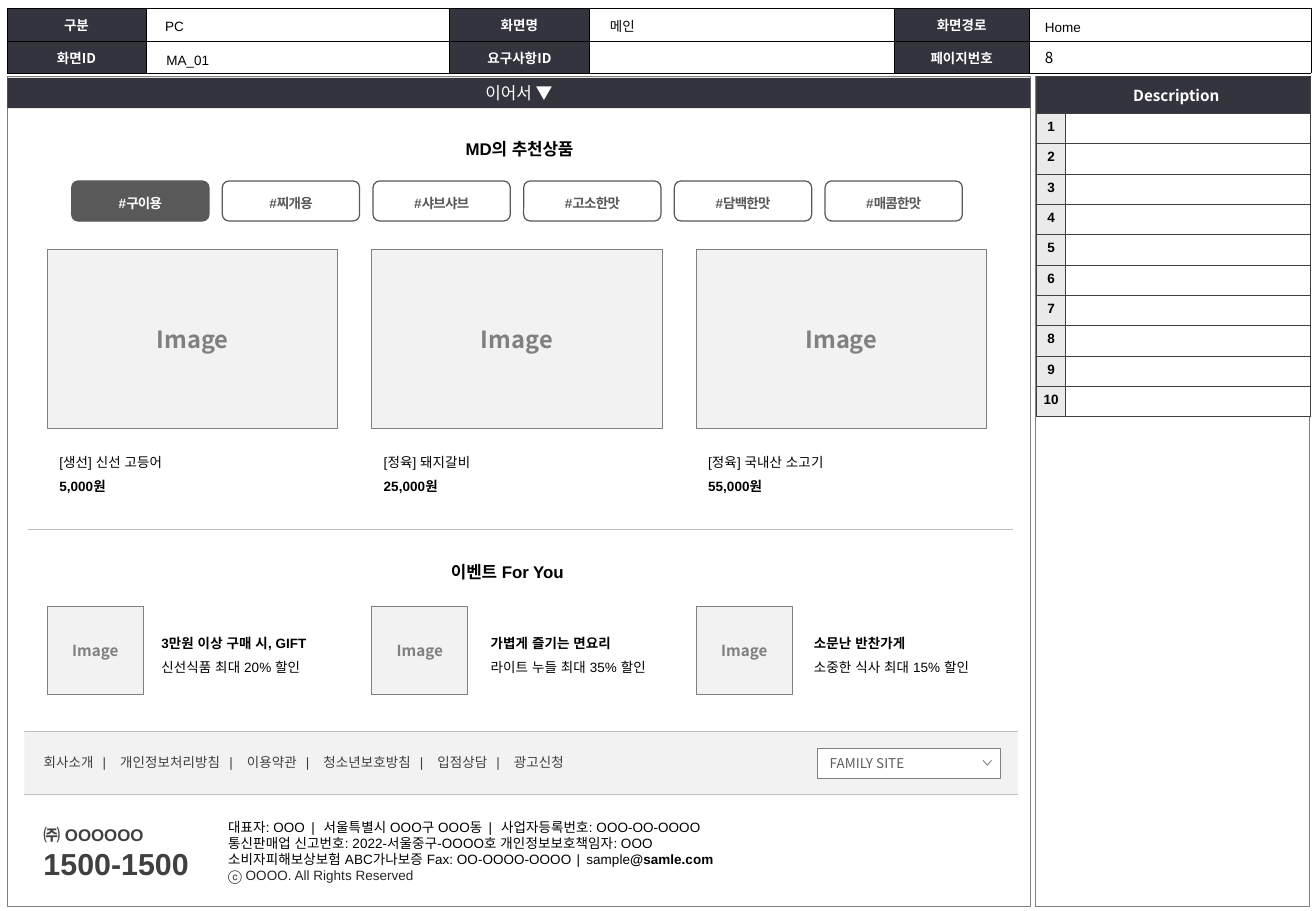
from dataclasses import dataclass

from lxml import etree
from pptx import Presentation
from pptx import util as u
from pptx.dml.color import RGBColor
from pptx.enum import shapes, text
from pptx.oxml.ns import qn

LEFT, CENTER = text.PP_ALIGN.LEFT, text.PP_ALIGN.CENTER
TOP, MIDDLE, BOTTOM = text.MSO_ANCHOR.TOP, text.MSO_ANCHOR.MIDDLE, text.MSO_ANCHOR.BOTTOM
RECT, ROUND = shapes.MSO_SHAPE.RECTANGLE, shapes.MSO_SHAPE.ROUNDED_RECTANGLE


@dataclass(frozen=True)
class Theme:
    sans: str = "Arial"
    korean: str = "Noto Sans CJK KR"
    black: str = "000000"
    white: str = "FFFFFF"
    navy: str = "33343D"
    charcoal: str = "404040"
    ink: str = "262626"
    chip: str = "595959"
    select: str = "5F5F5F"
    gray: str = "808080"
    rule: str = "BFBFBF"
    number: str = "EAEAEA"
    panel: str = "F2F2F2"
    small: float = 8
    label: float = 9
    heading: float = 10
    image: float = 14
    phone: float = 18


THEME = Theme()


def rgb(color):
    return RGBColor.from_string(color)


def write(frame, lines, align=LEFT, anchor=TOP, inset=(0.1, 0.05, 0.1, 0.05),
          leading=None, after=None, **base):
    """Fill a frame; a line is a string or a list of (text, format) spans."""
    frame.vertical_anchor = anchor
    frame.margin_left, frame.margin_top, frame.margin_right, frame.margin_bottom = map(u.Inches, inset)
    for index, line in enumerate(lines):
        para = frame.paragraphs[0] if index == 0 else frame.add_paragraph()
        para.alignment = align
        if leading:
            para.line_spacing = leading
        if after:
            para.space_after = u.Pt(after)
        for words, extra in [(line, {})] if isinstance(line, str) else line:
            style = {"size": THEME.small, "font": THEME.sans, "color": THEME.black,
                     "bold": False, "spacing": 0, **base, **extra}
            span = para.add_run()
            span.text = words
            span.font.size = u.Pt(style["size"])
            span.font.name = style["font"]
            span.font.bold = style["bold"]
            span.font.color.rgb = rgb(style["color"])
            props = span.font._element
            if style["spacing"]:
                props.set("spc", str(int(style["spacing"] * 100)))
            etree.SubElement(props, qn("a:ea"), typeface=style["font"])


class Screen:
    def __init__(self, slide, theme):
        self.page, self.theme = slide, theme

    def paint(self, shape, fill, line, width):
        shape.shadow.inherit = False
        if fill:
            shape.fill.solid()
            shape.fill.fore_color.rgb = rgb(fill)
        else:
            shape.fill.background()
        if line:
            shape.line.color.rgb = rgb(line)
            shape.line.width = u.Pt(width)
        else:
            shape.line.fill.background()

    def box(self, left, top, width, height, fill=None, line=None, weight=0.5, kind=RECT):
        box = self.page.shapes.add_shape(kind, *map(u.Inches, (left, top, width, height)))
        self.paint(box, fill, line, weight)
        return box

    def label(self, left, top, width, height, *lines, wrap=True, **style):
        box = self.page.shapes.add_textbox(*map(u.Inches, (left, top, width, height)))
        box.text_frame.word_wrap = wrap
        write(box.text_frame, lines, **style)

    def rule(self, left, right, top):
        line = self.page.shapes.add_connector(
            shapes.MSO_CONNECTOR.STRAIGHT, *map(u.Inches, (left, top, right, top)))
        line.line.color.rgb = rgb(self.theme.rule)
        line.line.width = u.Pt(0.75)
        etree.SubElement(line._element.spPr, qn("a:effectLst"))

    def chevron(self, left, top, width, height):
        points = [(left + width, top), (left + width / 2, top + height), (left, top)]
        start, *rest = [(u.Inches(x), u.Inches(y)) for x, y in points]
        builder = self.page.shapes.build_freeform(*start, scale=1.0)
        builder.add_line_segments(rest, close=False)
        self.paint(builder.convert_to_shape(), self.theme.white, self.theme.gray, 0.5)

    def placeholder(self, left, top, width, height, size, label_height):
        """Gray box that stands for an image, with its centred caption."""
        self.box(left, top, width, height, self.theme.panel, self.theme.gray)
        self.label(left + width / 2 - 0.32, top + (height - label_height) / 2, 0.64, label_height, "Image",
                   align=CENTER, anchor=MIDDLE, inset=(0, 0.04, 0, 0.04), size=size,
                   font=self.theme.korean, color=self.theme.gray, bold=True)

    def table(self, left, top, columns, rows, border):
        grid = self.page.shapes.add_table(
            len(rows), len(columns), *map(u.Inches, (left, top, sum(columns), sum(rows)))).table
        grid.first_row = grid.horz_banding = False
        for column, width in zip(grid.columns, columns):
            column.width = u.Inches(width)
        for row, height in zip(grid.rows, rows):
            row.height = u.Inches(height)
        for cell in grid.iter_cells():
            props = cell._tc.get_or_add_tcPr()
            for side in ("a:lnL", "a:lnR", "a:lnT", "a:lnB"):
                edge = etree.SubElement(props, qn(side), w=str(u.Pt(0.25)))
                etree.SubElement(etree.SubElement(edge, qn("a:solidFill")), qn("a:srgbClr"), val=border)
            self.cell(cell, self.theme.white)
        return grid

    def cell(self, cell, fill, words=None, anchor=TOP, **style):
        cell.fill.solid()
        cell.fill.fore_color.rgb = rgb(fill)
        if words:
            write(cell.text_frame, [words], align=CENTER, **style)
            # A cell takes margins and anchor from its own properties.
            cell.margin_left, cell.margin_top, cell.margin_right, cell.margin_bottom = map(
                u.Inches, style["inset"])
            cell.vertical_anchor = anchor
        else:
            end = cell.text_frame.paragraphs[0]._p.get_or_add_endParaRPr()
            end.set("sz", str(int(self.theme.small * 100)))


def draw_header(screen):
    grid = screen.table(0.06, 0.07, [1.14, 2.5, 1.15, 2.51, 1.11, 2.32], [0.27, 0.26], THEME.black)
    titles = [["구분", "화면명", "화면경로"], ["화면ID", "요구사항ID", "페이지번호"]]
    for row, names in enumerate(titles):
        for index, name in enumerate(names):
            screen.cell(grid.cell(row, index * 2), THEME.navy, name, anchor=MIDDLE, bold=True,
                        inset=(0.06, 0.05, 0.06, 0.05), font=THEME.korean, color=THEME.white)
    for left, top, value in [(1.26, 0.11, "PC"), (4.92, 0.11, "메인"),
                             (8.5, 0.12, "Home"), (1.27, 0.39, "MA_01")]:
        screen.label(left, top, 2.25, 0.17, value, wrap=False, anchor=BOTTOM, inset=(0.1, 0, 0.1, 0))
    screen.label(8.5, 0.35, 0.93, 0.25, "8", size=THEME.label, font=THEME.korean)


def draw_description(screen):
    grid = screen.table(8.53, 0.63, [0.24, 2.01], [0.3] + [0.25] * 10, THEME.charcoal)
    grid.cell(0, 0).merge(grid.cell(0, 1))
    screen.cell(grid.cell(0, 0), THEME.navy, "Description", anchor=MIDDLE, size=THEME.label, bold=True,
                inset=(0.07, 0.02, 0.02, 0.02), font=THEME.korean, color=THEME.white)
    for number in range(1, 11):
        screen.cell(grid.cell(number, 0), THEME.number, str(number), bold=True,
                    inset=(0.04, 0.05, 0.04, 0.05))


def draw_products(screen, lefts):
    heading = {"align": CENTER, "leading": 1.5, "size": THEME.heading, "bold": True}
    screen.label(2.84, 1.01, 2.87, 0.32, "MD의 추천상품", **heading)
    for index, tag in enumerate(["구이용", "찌개용", "샤브샤브", "고소한맛", "담백한맛", "매콤한맛"]):
        left, active = 0.59 + 1.24 * index, index == 0
        screen.box(left, 1.49, 1.13, 0.33, THEME.chip if active else None, THEME.chip, 0.75, ROUND)
        screen.label(left - 0.09, 1.49, 1.41, 0.3, "#" + tag, align=CENTER, inset=(0, 0.05, 0.1, 0.05),
                     leading=1.5, after=3, bold=True, spacing=-0.5,
                     color=THEME.white if active else THEME.chip)
    products = [("[생선] 신선 고등어", "5,000원"), ("[정육] 돼지갈비", "25,000원"),
                ("[정육] 국내산 소고기", "55,000원")]
    for left, (name, price) in zip(lefts, products):
        screen.placeholder(left, 2.05, 2.39, 1.48, THEME.image, 0.29)
        screen.label(left, 3.62, 2, 0.5, name, [(price, {"bold": True})], leading=1.5)
    screen.rule(0.23, 8.34, 4.36)
    screen.label(2.74, 4.49, 2.87, 0.35, "이벤트 For You", **heading)


def draw_events(screen, lefts):
    events = [(1.23, "3만원 이상 구매 시, GIFT", "신선식품 최대 20% 할인"),
              (3.94, "가볍게 즐기는 면요리", "라이트 누들 최대 35% 할인"),
              (6.6, "소문난 반찬가게", "소중한 식사 최대 15% 할인")]
    for left, (text_left, title, offer) in zip(lefts, events):
        screen.placeholder(left, 4.99, 0.79, 0.73, THEME.label, 0.23)
        screen.label(text_left, 5.11, 1.8, 0.48, [(title, {"bold": True})], offer, leading=1.5)


def draw_footer(screen):
    screen.box(0.2, 6.02, 8.18, 0.52, THEME.panel)
    for top in (6.02, 6.54):
        screen.rule(0.2, 8.38, top)
    menu = ["회사소개", "개인정보처리방침", "이용약관", "청소년보호방침", "입점상담", "광고신청"]
    links = [(menu[0], {})]
    for name in menu[1:]:
        links += [(" | ", {"spacing": 3}), (name, {})]
    screen.label(0.26, 6.16, 6.89, 0.24, links, color=THEME.charcoal)
    select = screen.box(6.73, 6.16, 1.5, 0.25, THEME.white, THEME.gray)
    write(select.text_frame, ["FAMILY SITE"], anchor=MIDDLE, inset=(0.1, 0.06, 0.28, 0.06),
          font=THEME.korean, color=THEME.select)
    screen.chevron(8.09, 6.26, 0.07, 0.04)
    screen.label(0.26, 6.74, 1.66, 0.57, "㈜ OOOOOO", [("1500-1500", {"size": THEME.phone})],
                 size=THEME.heading, color=THEME.charcoal, bold=True)
    gap = (" | ", {"spacing": 1.5})
    screen.label(
        1.78, 6.69, 6.46, 0.64,
        [("대표자: OOO", {}), gap, ("서울특별시 OOO구 OOO동", {}), gap, ("사업자등록번호: OOO-OO-OOOO", {})],
        "통신판매업 신고번호: 2022-서울중구-OOOO호 개인정보보호책임자: OOO",
        [("소비자피해보상보험 ABC가나보증 Fax: OO-OOOO-OOOO", {}), (" | ", {"spacing": 0.75}),
         ("sample", {}), ("@samle.com", {"bold": True})],
        [("ⓒ OOOO. All Rights Reserved", {"color": THEME.ink})])


def main():
    deck = Presentation()
    deck.slide_width, deck.slide_height = u.Inches(10.83), u.Inches(7.5)
    screen = Screen(deck.slides.add_slide(deck.slide_layouts[6]), THEME)
    lefts = [0.39 + 2.67 * index for index in range(3)]
    screen.box(0.06, 0.63, 8.42, 6.83, line=THEME.gray)
    screen.box(8.52, 0.63, 2.26, 6.83, THEME.white, THEME.gray)
    draw_header(screen)
    draw_description(screen)
    draw_products(screen, lefts)
    draw_events(screen, lefts)
    draw_footer(screen)
    bar = screen.box(0.06, 0.64, 8.42, 0.25, THEME.navy)
    write(bar.text_frame, ["이어서 ▼"], align=CENTER, anchor=MIDDLE, inset=(0, 0, 0, 0),
          size=THEME.heading, font=THEME.korean, color=THEME.white)
    deck.save("out.pptx")


if __name__ == "__main__":
    main()
